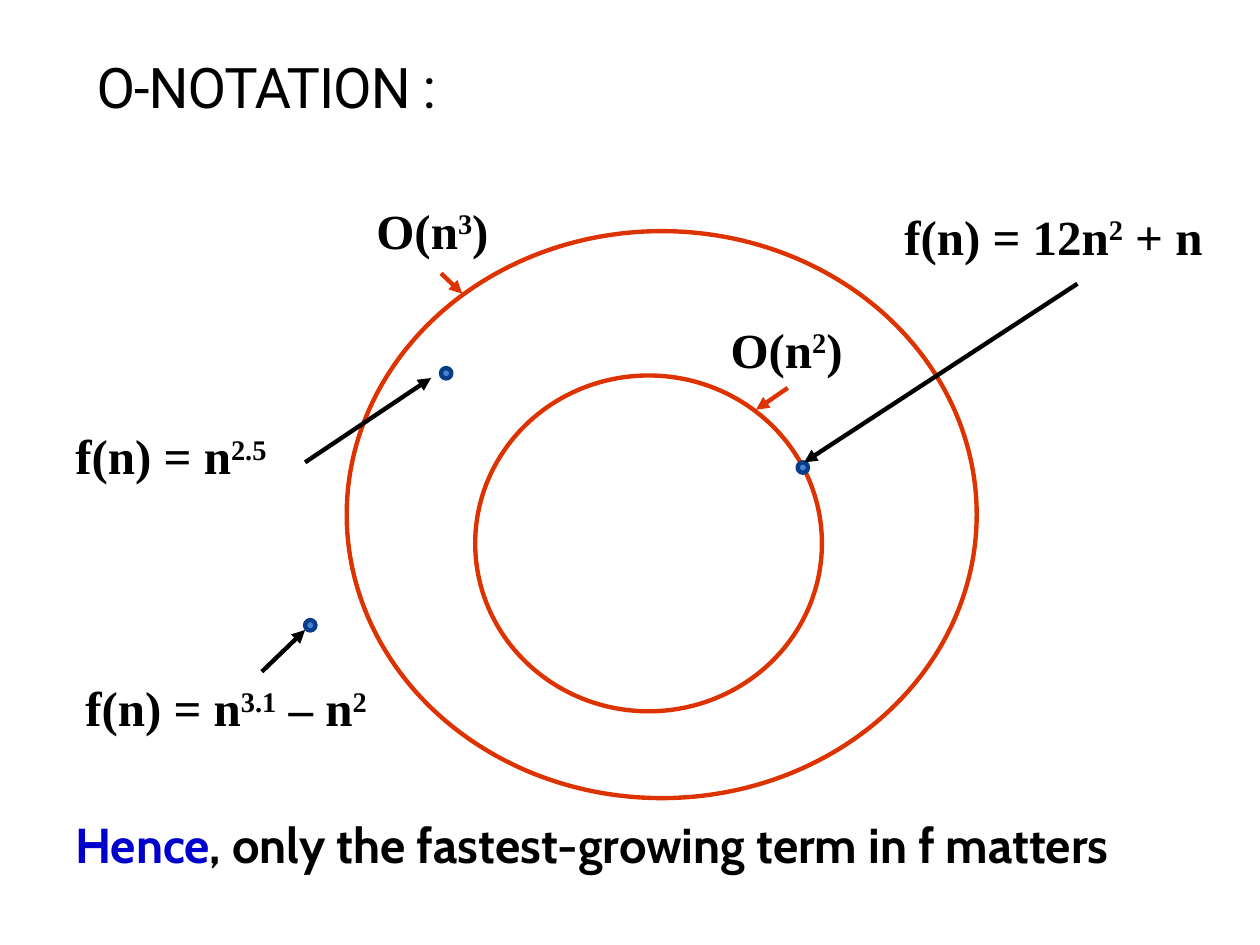
from lxml import etree
from pptx import Presentation
from pptx import util as u
from pptx.dml.color import RGBColor
from pptx.enum import shapes, text
from pptx.oxml import ns

BLACK, RED, BLUE = "000000", "DD3300", "0000CC"
DOT_FILL, DOT_LINE = "4584D3", "073E87"
LABEL_FONT = {"name": "Times New Roman", "size": u.Pt(28), "bold": True}
TITLE_FONT = {"name": "Roboto", "size": u.Pt(32), "bold": False}
CONCLUSION_FONT = {"name": "Cabin", "size": u.Pt(28), "bold": True}

RINGS = [(5.72, 0.85, 12.7, 11.43), (8.31, 3.76, 6.99, 6.77)]
DOTS = [(7.62, 3.61), (14.81, 5.51), (4.88, 8.69)]
DOT_SIZE = 0.21
LABELS = [
    ("O(n^3^)", 6.07, 0.1, 2.84),
    ("O(n^2^)", 13.21, 2.51, 2.84),
    ("f(n) = n^2.5^", 0, 4.65, 4.52),
    ("f(n) = 12n^2^ + n", 16.71, 0.23, 6.65),
    ("f(n) = n^3.1^ – n^2^", 0.2, 9.73, 6.43),
]
ARROWS = [
    (4.88, 5.51, 7.42, 3.81, BLACK),
    (14.61, 4.01, 13.97, 4.45, RED),
    (7.62, 1.7, 8.05, 2.11, RED),
    (20.45, 1.91, 14.94, 5.51, BLACK),
    (4.01, 9.73, 4.88, 8.89, BLACK),
]


def color(value):
    """Turn a hex string into a colour."""
    return RGBColor.from_string(value)


def apply_values(target, values):
    """Set each named attribute of the target."""
    for name, value in values.items():
        setattr(target, name, value)


def add_span(para, words, font, fill=BLACK):
    """Append formatted words to a paragraph."""
    span = para.add_run()
    span.text = words
    apply_values(span.font, font)
    span.font.color.rgb = color(fill)
    return span


def add_box(page, left, top, width, height, **frame_values):
    """Add a text box and return its frame."""
    box = page.shapes.add_textbox(*map(u.Cm, (left, top, width, height)))
    apply_values(box.text_frame, {"word_wrap": True, **frame_values})
    return box.text_frame


def add_ellipse(page, left, top, width, height, line, fill=None):
    """Add an outlined ellipse, filled when a fill is given."""
    ellipse = page.shapes.add_shape(
        shapes.MSO_SHAPE.OVAL, *map(u.Cm, (left, top, width, height)))
    ellipse.shadow.inherit = False
    ellipse.line.color.rgb = color(line)
    ellipse.line.width = u.Pt(2.5)
    if fill:
        ellipse.fill.solid()
        ellipse.fill.fore_color.rgb = color(fill)
    else:
        ellipse.fill.background()


def add_arrow(page, start_x, start_y, end_x, end_y, line):
    """Add a straight arrow pointing at its end."""
    arrow = page.shapes.add_connector(
        shapes.MSO_CONNECTOR.STRAIGHT,
        *map(u.Cm, (start_x, start_y, end_x, end_y)))
    arrow.line.color.rgb = color(line)
    arrow.line.width = u.Pt(2.5)
    etree.SubElement(arrow.line._get_or_add_ln(), ns.qn("a:tailEnd"), type="triangle")
    etree.SubElement(arrow._element.spPr, ns.qn("a:effectLst"))


def add_label(page, formula, left, top, width):
    """Add a formula whose exponents stand between carets."""
    frame = add_box(page, left, top, width, 1.45, word_wrap=False)
    for index, words in enumerate(formula.split("^")):
        if words:
            span = add_span(frame.paragraphs[0], words, LABEL_FONT)
            if index % 2:
                span._r.get_or_add_rPr().set("baseline", "30000")


def add_title(page, left, top, width, height):
    """Place the slide title at the bottom of its box."""
    frame = add_box(page, left, top, width, height,
                    vertical_anchor=text.MSO_ANCHOR.BOTTOM)
    span = add_span(frame.paragraphs[0], "O-NOTATION :", TITLE_FONT)
    span._r.get_or_add_rPr().set("spc", "-60")


def add_diagram(page, left, top):
    """Place the growth classes and sample functions from a corner."""
    for x, y, width, height in RINGS:
        add_ellipse(page, left + x, top + y, width, height, RED)
    for x, y in DOTS:
        add_ellipse(page, left + x, top + y, DOT_SIZE, DOT_SIZE, DOT_LINE, DOT_FILL)
    for formula, x, y, width in LABELS:
        add_label(page, formula, left + x, top + y, width)
    for start_x, start_y, end_x, end_y, line in ARROWS:
        add_arrow(page, left + start_x, top + start_y, left + end_x, top + end_y, line)


def add_conclusion(page, left, top, width, height):
    """Place the closing sentence."""
    para = add_box(page, left, top, width, height).paragraphs[0]
    apply_values(para, {"line_spacing": 0.9, "space_after": u.Pt(6)})
    add_span(para, "Hence", CONCLUSION_FONT, BLUE)
    add_span(para, ", only the fastest-growing term in f matters", CONCLUSION_FONT)


def main():
    """Build and save the deck."""
    deck = Presentation()
    apply_values(deck, {"slide_width": u.Cm(25.4), "slide_height": u.Cm(19.05)})
    page = deck.slides.add_slide(deck.slide_layouts[6])
    add_title(page, 1.7, 0.2, 21.16, 2.34)
    add_diagram(page, 1.27, 3.81)
    add_conclusion(page, 1.27, 16.43, 23.7, 1.35)
    deck.save("out.pptx")


if __name__ == "__main__":
    main()
